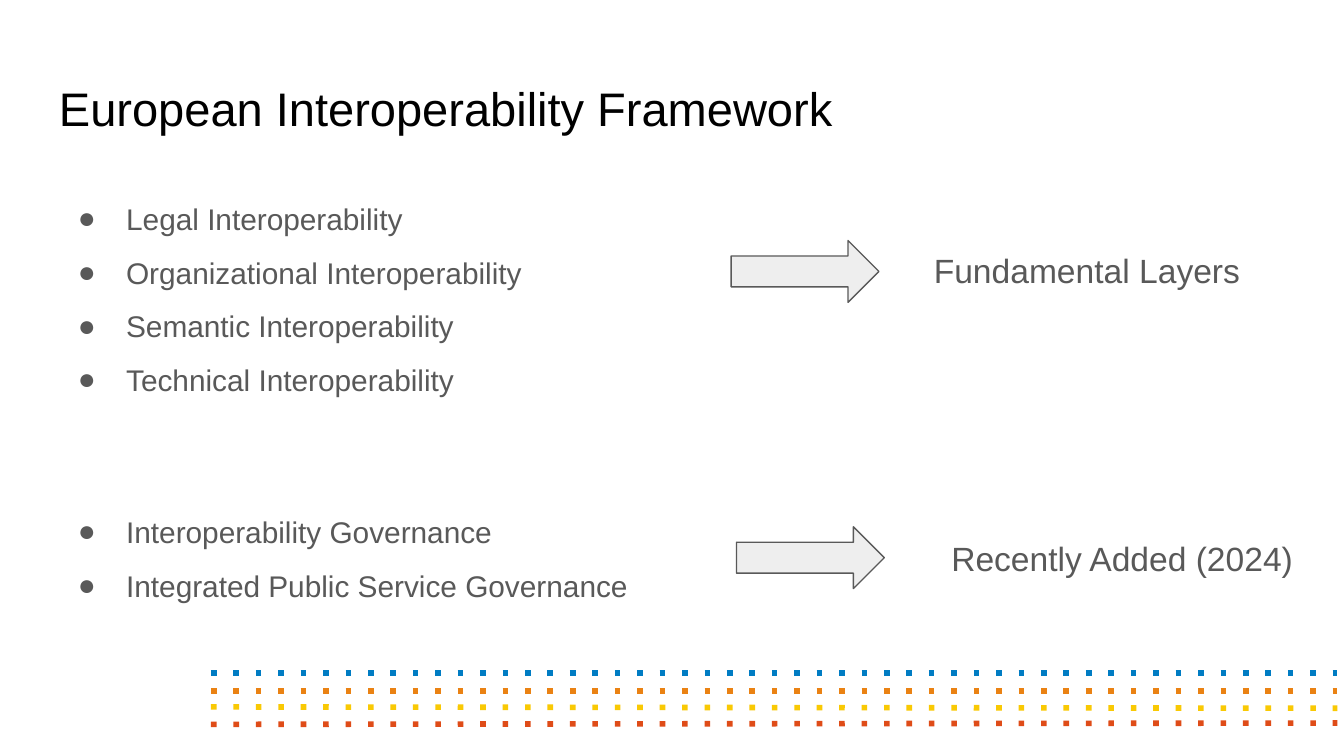
from typing import NamedTuple

from lxml.etree import SubElement
from pptx import Presentation
from pptx.dml.color import RGBColor
from pptx.enum.shapes import MSO_CONNECTOR as Connector, MSO_SHAPE as Shape
from pptx.enum.text import MSO_ANCHOR as Anchor
from pptx.oxml.ns import qn
from pptx.util import Inches, Pt

COLORS = {
    "title": "000000", "text": "595959", "arrow": "EEEEEE",
    "blue": "007CC3", "orange": "EA8213", "yellow": "F9C904", "red": "DF4C18",
}
FONT = "Arial"


class Box(NamedTuple):
    left: float
    top: float
    width: float
    height: float


class Callout(NamedTuple):
    arrow: Box
    label: Box
    text: str


class DottedLine(NamedTuple):
    color: str
    y1: float
    y2: float


LAYER_GROUPS = [
    ["Legal Interoperability", "Organizational Interoperability",
     "Semantic Interoperability", "Technical Interoperability"],
    ["Interoperability Governance", "Integrated Public Service Governance"],
]
CALLOUTS = [
    Callout(Box(5.44, 1.79, 1.1, 0.46), Box(6.85, 1.76, 2.94, 0.5), "Fundamental Layers"),
    Callout(Box(5.48, 3.92, 1.1, 0.46), Box(6.98, 3.9, 2.94, 0.5), "Recently Added (2024)"),
]
DOTTED_LINES = [
    DottedLine("blue", 5.01, 5.01), DottedLine("yellow", 5.26, 5.27),
    DottedLine("orange", 5.14, 5.14), DottedLine("red", 5.39, 5.38),
]


def rgb(name: str) -> RGBColor:
    return RGBColor.from_string(COLORS[name])


def add_text_frame(s, box: Box, anchor=Anchor.TOP):
    tf = s.shapes.add_textbox(*map(Inches, box)).text_frame
    tf.word_wrap = True
    tf.vertical_anchor = anchor
    tf.margin_left = tf.margin_right = tf.margin_top = tf.margin_bottom = Inches(0.1)
    return tf


def add_run(p, text: str, size: float, color: str) -> None:
    r = p.add_run()
    r.text = text
    r.font.name = FONT
    r.font.size = Pt(size)
    r.font.color.rgb = rgb(color)


def set_bullet(p) -> None:
    pPr = p._p.get_or_add_pPr()
    pPr.set("marL", str(Inches(0.5)))
    pPr.set("indent", str(Inches(-0.36)))
    color = SubElement(pPr, qn("a:buClr"))
    SubElement(color, qn("a:srgbClr"), val=COLORS["text"])
    SubElement(pPr, qn("a:buFont"), typeface=FONT)
    SubElement(pPr, qn("a:buChar"), char="●")


def add_bullets(s, box: Box, groups: list[list[str]], group_gap: float) -> None:
    tf = add_text_frame(s, box)
    p = tf.paragraphs[0]
    for g, group in enumerate(groups):
        for i, text in enumerate(group):
            if g or i:
                p = tf.add_paragraph()
            p.line_spacing = 1.5
            p.space_before = Pt(group_gap if g and not i else 0)
            set_bullet(p)
            add_run(p, text, 16, "text")


def add_dotted_line(s, line: DottedLine) -> None:
    c = s.shapes.add_connector(Connector.STRAIGHT, Inches(1.57), Inches(line.y1),
                               Inches(9.95), Inches(line.y2))
    c.line.color.rgb = rgb(line.color)
    c.line.width = Pt(3)
    SubElement(c.line._get_or_add_ln(), qn("a:prstDash"), val="dot")
    SubElement(c._element.spPr, qn("a:effectLst"))


def add_callout(s, callout: Callout) -> None:
    sp = s.shapes.add_shape(Shape.RIGHT_ARROW, *map(Inches, callout.arrow))
    sp.shadow.inherit = False
    sp.fill.solid()
    sp.fill.fore_color.rgb = rgb("arrow")
    sp.line.color.rgb = rgb("text")
    sp.line.width = Pt(0.75)
    tf = add_text_frame(s, callout.label)
    add_run(tf.paragraphs[0], callout.text, 18, "text")


def main() -> None:
    prs = Presentation()
    # Widescreen, 16:9
    prs.slide_width = Inches(10)
    prs.slide_height = Inches(10 * 9 / 16)
    s = prs.slides.add_slide(prs.slide_layouts[6])

    # Title
    tf = add_text_frame(s, Box(0.34, 0.49, 9.32, 0.63), Anchor.MIDDLE)
    add_run(tf.paragraphs[0], "European Interoperability Framework", 25.2, "title")

    # Interoperability layers in two groups
    add_bullets(s, Box(0.34, 1.26, 9.32, 3.74), LAYER_GROUPS, group_gap=52.7)

    # Dotted footer band
    for line in DOTTED_LINES:
        add_dotted_line(s, line)

    # Arrows with their labels
    for callout in CALLOUTS:
        add_callout(s, callout)

    prs.save("out.pptx")


if __name__ == "__main__":
    main()
